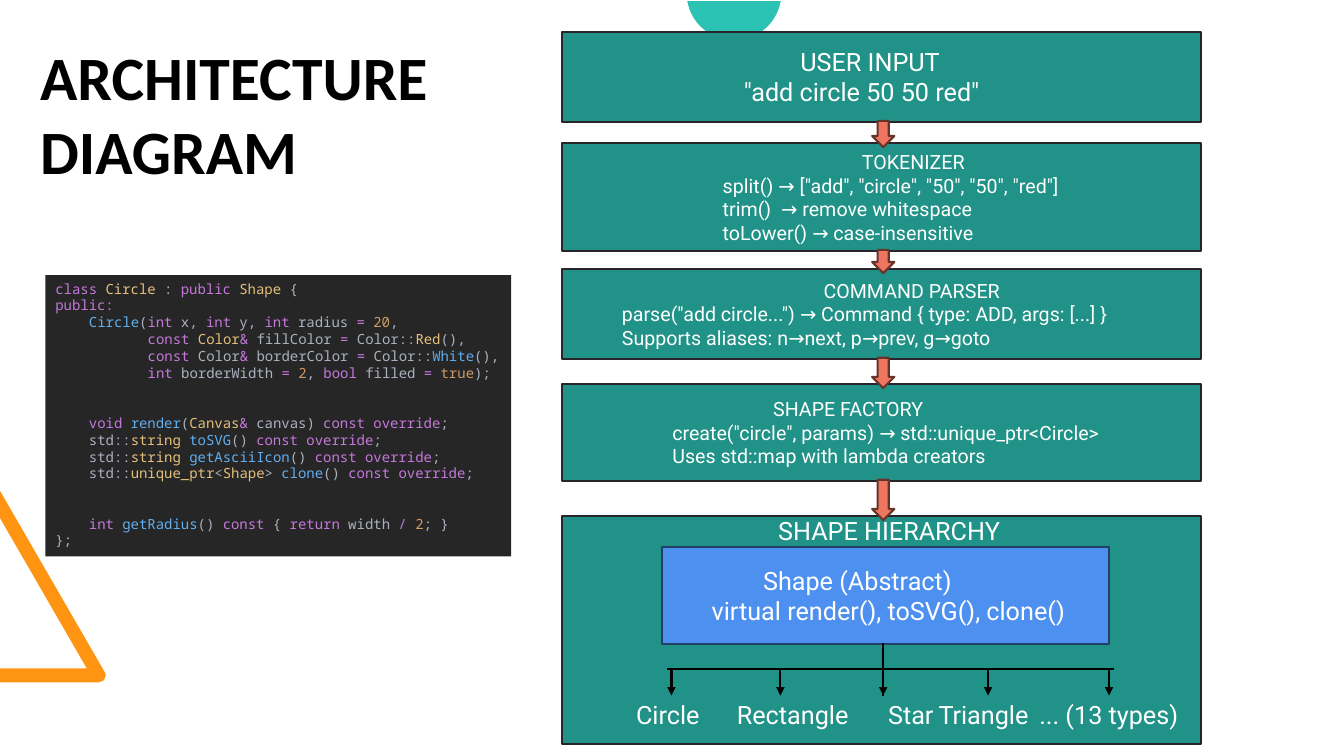
from math import cos, radians, sin

from lxml import etree
from pptx import Presentation
from pptx.dml.color import RGBColor
from pptx.enum.shapes import MSO_CONNECTOR, MSO_SHAPE
from pptx.enum.text import MSO_ANCHOR, PP_ALIGN
from pptx.oxml.ns import qn
from pptx.util import Inches, Pt

RECT, DOWN_ARROW = MSO_SHAPE.RECTANGLE, MSO_SHAPE.DOWN_ARROW
STRAIGHT = MSO_CONNECTOR.STRAIGHT
TOP, MIDDLE = MSO_ANCHOR.TOP, MSO_ANCHOR.MIDDLE
LEFT = PP_ALIGN.LEFT

COLORS = {
    "black": "000000", "white": "FFFFFF", "orange": "FF9413", "teal": "2BC2B4",
    "stage": "209287", "stage_edge": "28242A", "base": "4D90EF", "base_edge": "223F69",
    "arrow": "EE7660", "arrow_edge": "68342A", "editor": "262626",
    "key": "C678DD", "type": "E5C07B", "func": "61AFEF", "num": "D19A66", "plain": "ABB2BF",
}

# Text lines are (indent in inches, text)
TITLE = [(0, "ARCHITECTURE"), (0, "DIAGRAM")]
USER_INPUT = [(0.56, "USER INPUT"), (0, "\"add circle 50 50 red\"")]
# Stages are (top, height, lines)
STAGES = [
    (0.32, 0.89, []),
    (1.42, 1.07, [(2.88, "TOKENIZER"),
                  (1.5, "split() → [\"add\", \"circle\", \"50\", \"50\", \"red\"]"),
                  (1.5, "trim()  → remove whitespace"),
                  (1.5, "toLower() → case-insensitive")]),
    (2.67, 0.89, [(2.5, "COMMAND PARSER"),
                  (0.5, "parse(\"add circle...\") → Command { type: ADD, args: [...] }"),
                  (0.5, "Supports aliases: n→next, p→prev, g→goto")]),
    (3.81, 0.96, [(2, "SHAPE FACTORY"),
                  (1, "create(\"circle\", params) → std::unique_ptr<Circle>"),
                  (1, "Uses std::map with lambda creators")]),
    (5.12, 2.26, []),
]
HIERARCHY = [(0, "SHAPE HIERARCHY")]
BASE_CLASS = [(0.9, "Shape (Abstract)"), (0.39, "virtual render(), toSVG(), clone()")]
SUBCLASSES = ["Circle", "Rectangle", "Star", "Triangle", "... (13 types)"]
SUBCLASS_TABS = [1, 2.23, 3.05, 4.06]
SUBCLASS_DROPS = [6.66, 7.74, 8.76, 9.8, 11]

# Code lines are (indent in characters, blank lines before, runs)
K, T, F, N, P = "key", "type", "func", "num", "plain"
OVERRIDE = [(K, "const override"), (P, ";")]
CODE = [
    (0, 0, [(K, "class "), (T, "Circle"), (P, " : "), (K, "public "), (T, "Shape"), (P, " {")]),
    (0, 0, [(K, "public:")]),
    (4, 0, [(F, "Circle"), (P, "("), (K, "int"), (P, " x, "), (K, "int"), (P, " y, "),
            (K, "int"), (P, " radius "), (K, "= "), (N, "20"), (P, ",")]),
    (11, 0, [(K, "const "), (T, "Color"), (K, "& "), (P, "fillColor "), (K, "="),
             (P, " Color::"), (T, "Red"), (P, "(),")]),
    (11, 0, [(K, "const"), (P, " Color"), (K, "& "), (P, "borderColor "), (K, "="),
             (P, " Color::"), (F, "White"), (P, "(),")]),
    (11, 0, [(K, "int "), (P, "borderWidth "), (K, "= "), (N, "2"), (P, ", "), (K, "bool"),
             (P, " filled "), (K, "= "), (N, "true"), (P, ");")]),
    (4, 2, [(K, "void "), (F, "render"), (P, "("), (T, "Canvas"), (K, "&"),
            (P, " canvas) "), *OVERRIDE]),
    (4, 0, [(P, "std::"), (T, "string "), (F, "toSVG"), (P, "() "), *OVERRIDE]),
    (4, 0, [(P, "std::"), (T, "string "), (F, "getAsciiIcon"), (P, "() "), *OVERRIDE]),
    (4, 0, [(P, "std::"), (T, "unique_ptr"), (P, "<"), (T, "Shape"), (P, "> "),
            (F, "clone"), (P, "() "), *OVERRIDE]),
    (4, 2, [(K, "int "), (F, "getRadius"), (P, "() "), (K, "const"), (P, " { "),
            (K, "return"), (P, " width "), (K, "/ "), (N, "2"), (P, "; }")]),
    (0, 0, [(P, "};")]),
]
CODE_SIZE, CODE_LEADING = 10, 12
CHAR_WIDTH = 0.6 * CODE_SIZE / 72

STAGE_LEFT, STAGE_WIDTH = 5.57, 6.34
ARROW_LEFT, ARROW_WIDTH = 8.65, 0.22
BAR_LEFT, BAR_RIGHT, BAR_Y = 6.62, 11.05, 6.64
TRUNK_X, TRUNK_TOP, DROP_END = 8.76, 6.38, 6.9

prs = Presentation()
prs.slide_width, prs.slide_height = Inches(13.33), Inches(7.5)
slide = prs.slides.add_slide(prs.slide_layouts[6])
shapes = slide.shapes


def rgb(name):
    return RGBColor.from_string(COLORS[name])


def paint(shape, fill, edge=None):
    shape.shadow.inherit = False
    shape.fill.solid()
    shape.fill.fore_color.rgb = rgb(fill)
    if edge:
        shape.line.color.rgb = rgb(edge)
        shape.line.width = Pt(1.5)
    else:
        shape.line.fill.background()
    return shape


def box(kind, left, top, width, height, fill, edge=None):
    shape = shapes.add_shape(kind, *map(Inches, (left, top, width, height)))
    return paint(shape, fill, edge)


def outline(points, fill):
    start, *rest = [(Inches(x), Inches(y)) for x, y in points]
    builder = shapes.build_freeform(*start, scale=1.0)
    builder.add_line_segments(rest, close=True)
    paint(builder.convert_to_shape(), fill)


def write(shape, lines, size, font="Roboto", color="white", bold=False,
          anchor=TOP, leading=None, tabs=()):
    """Fill a shape with (indent, text or coloured runs, optional space before) lines."""
    frame = shape.text_frame
    frame.word_wrap = True
    frame.vertical_anchor = anchor
    for number, (indent, content, *before) in enumerate(lines):
        paragraph = frame.add_paragraph() if number else frame.paragraphs[0]
        paragraph.alignment = LEFT
        if leading:
            paragraph.line_spacing = Pt(leading)
        if before:
            paragraph.space_before = Pt(before[0])
        properties = paragraph._p.get_or_add_pPr()
        properties.set("marL", str(Inches(indent)))
        properties.set("indent", "0")
        if tabs:
            stops = etree.SubElement(properties, qn("a:tabLst"))
            for tab in tabs:
                etree.SubElement(stops, qn("a:tab"), pos=str(Inches(tab)), algn="l")
        runs = [(color, content)] if isinstance(content, str) else content
        for run_color, text in runs:
            run = paragraph.add_run()
            run.text = text
            run.font.name, run.font.size, run.font.bold = font, Pt(size), bold
            run.font.color.rgb = rgb(run_color)


def label(left, top, width, height, lines, size, **style):
    write(shapes.add_textbox(*map(Inches, (left, top, width, height))), lines, size, **style)


def connect(x1, y1, x2, y2, arrowhead=False):
    line = shapes.add_connector(STRAIGHT, *map(Inches, (x1, y1, x2, y2)))
    line.line.color.rgb = rgb("black")
    line.line.width = Pt(1.5)
    if arrowhead:
        etree.SubElement(line.line._get_or_add_ln(), qn("a:tailEnd"), type="triangle")
    etree.SubElement(line._element.spPr, qn("a:effectLst"))


# Corner decorations
outline([(0, 6.77), (0, 6.63), (0.86, 6.63), (0, 5.14), (0, 4.87), (1.04, 6.67),
         (1.05, 6.7), (1.03, 6.75), (0.98, 6.77)], "orange")
cap = [(7.28 + 0.47 * cos(radians(a)), -0.07 + 0.47 * sin(radians(a))) for a in range(10, 171, 4)]
outline(cap, "teal")

label(0.3, 0.34, 8.04, 1.58, TITLE, 44, font="Calibri", color="black", bold=True)

# Pipeline
for top, height, lines in STAGES:
    stage = box(RECT, STAGE_LEFT, top, STAGE_WIDTH, height, "stage", "stage_edge")
    if lines:
        write(stage, lines, 14, anchor=MIDDLE)
label(7.28, 0.41, 3.01, 0.71, USER_INPUT, 18)

# Class hierarchy
base_class = box(RECT, 6.57, 5.43, 4.43, 0.96, "base", "base_edge")
write(base_class, BASE_CLASS, 18, anchor=MIDDLE)
label(7.62, 5.06, 2.57, 0.4, HIERARCHY, 18)
connect(TRUNK_X, TRUNK_TOP, TRUNK_X, DROP_END)
connect(BAR_LEFT, BAR_Y, BAR_RIGHT, BAR_Y)
for x in SUBCLASS_DROPS:
    connect(x, BAR_Y, x, DROP_END, arrowhead=True)
label(6.21, 6.89, 6.61, 0.4, [(0, "\t".join(SUBCLASSES))], 18, tabs=SUBCLASS_TABS)

# Code sample
code_lines = [(columns * CHAR_WIDTH, runs, blanks * CODE_LEADING) for columns, blanks, runs in CODE]
write(box(RECT, 0.45, 2.73, 4.62, 2.79, "editor"), code_lines, CODE_SIZE,
      font="Noto Sans Mono", leading=CODE_LEADING)

# Arrows between consecutive stages
for (top, height, _), (next_top, _, _) in zip(STAGES, STAGES[1:]):
    start = top + height - 0.01
    box(DOWN_ARROW, ARROW_LEFT, start, ARROW_WIDTH, next_top + 0.04 - start, "arrow", "arrow_edge")

prs.save("out.pptx")
